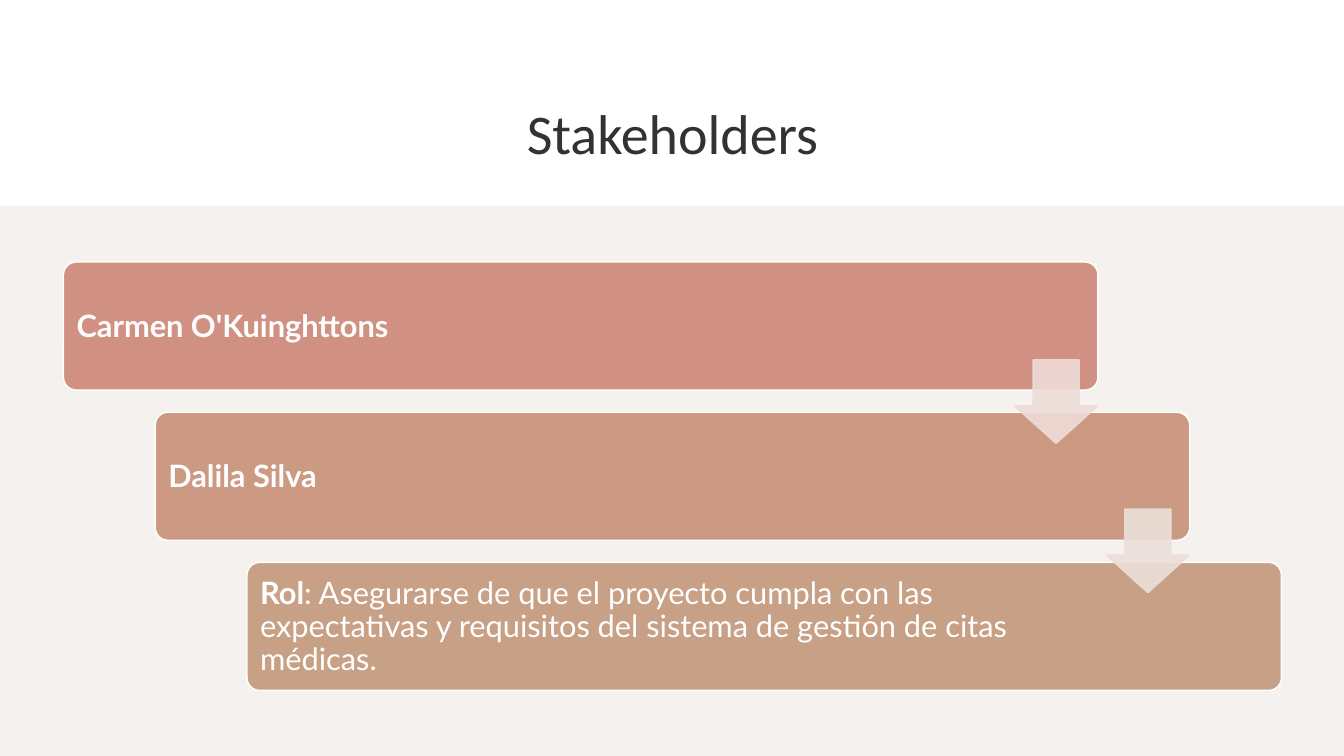
from dataclasses import dataclass

from pptx import Presentation
from pptx.dml.color import RGBColor
from pptx.enum.shapes import MSO_SHAPE
from pptx.enum.text import MSO_ANCHOR, PP_ALIGN
from pptx.oxml.ns import qn
from pptx.shapes.autoshape import Shape
from pptx.slide import Slide
from pptx.util import Inches, Pt
from lxml.etree import SubElement


@dataclass(frozen=True)
class Theme:
    title_font: str = "Calibri"
    body_font: str = "Lato"
    title_size: int = 40
    body_size: int = 22
    title_color: str = "323232"
    panel: str = "F4F1EF"
    white: str = "FFFFFF"


@dataclass(frozen=True)
class Step:
    bold: str
    plain: str
    fill: str
    text_width: float


@dataclass(frozen=True)
class Arrow:
    color: str
    top: float


THEME = Theme()
STEPS = [
    Step("Carmen O'Kuinghttons", "", "D09182", 8.89),
    Step("Dalila Silva", "", "CC9983", 8.46),
    Step("Rol", ": Asegurarse de que el proyecto cumpla con las expectativas y "
         "requisitos del sistema de gestión de citas médicas.", "C7A085", 8.46),
]
ARROWS = [Arrow("EEDCD8", 3.57), Arrow("EBDFD9", 5.05)]

# Staircase geometry, in inches
STEP_LEFT, STEP_TOP = 0.63, 2.6
STEP_WIDTH, STEP_HEIGHT = 10.26, 1.27
SHIFT_X, SHIFT_Y = 0.91, 1.49
TEXT_OFFSET, TEXT_HEIGHT = 0.04, 1.21
ARROW_LEFT, ARROW_SIZE = 10.06, 0.83


def color(value: str) -> RGBColor:
    return RGBColor.from_string(value)


def add_block(page: Slide, kind: MSO_SHAPE, left: float, top: float, width: float,
              height: float, fill: str, line: str = "") -> Shape:
    block = page.shapes.add_shape(kind, Inches(left), Inches(top),
                                  Inches(width), Inches(height))
    block.shadow.inherit = False
    block.fill.solid()
    block.fill.fore_color.rgb = color(fill)
    if line:
        block.line.color.rgb = color(line)
        block.line.width = Pt(1)
    else:
        block.line.fill.background()
    return block


def add_title(page: Slide, text: str) -> None:
    title = page.shapes.title
    title.left, title.top = Inches(1.56), Inches(0.77)
    title.width, title.height = Inches(10.22), Inches(1.09)
    title.text_frame.text = text
    title.text_frame.vertical_anchor = MSO_ANCHOR.MIDDLE
    para = title.text_frame.paragraphs[0]
    para.alignment = PP_ALIGN.CENTER
    para.font.name = THEME.title_font
    para.font.size = Pt(THEME.title_size)
    para.font.color.rgb = color(THEME.title_color)


def add_step(page: Slide, step: Step, index: int) -> None:
    left, top = STEP_LEFT + index * SHIFT_X, STEP_TOP + index * SHIFT_Y
    bar = add_block(page, MSO_SHAPE.ROUNDED_RECTANGLE, left, top, STEP_WIDTH,
                    STEP_HEIGHT, step.fill, THEME.white)
    bar.adjustments[0] = 0.1

    box = page.shapes.add_textbox(Inches(left + TEXT_OFFSET), Inches(top + TEXT_OFFSET),
                                  Inches(step.text_width), Inches(TEXT_HEIGHT))
    frame = box.text_frame
    frame.word_wrap = True
    frame.vertical_anchor = MSO_ANCHOR.MIDDLE
    frame.margin_left = frame.margin_right = Inches(0.09)
    frame.margin_top = frame.margin_bottom = Inches(0.09)
    para = frame.paragraphs[0]
    para.line_spacing = 0.9
    para.font.name = THEME.body_font
    para.font.size = Pt(THEME.body_size)
    para.font.color.rgb = color(THEME.white)
    for text, bold in ((step.bold, True), (step.plain, False)):
        if text:
            span = para.add_run()
            span.text = text
            span.font.bold = bold


def add_arrow(page: Slide, arrow: Arrow, index: int) -> None:
    shape = add_block(page, MSO_SHAPE.DOWN_ARROW, ARROW_LEFT + index * SHIFT_X, arrow.top,
                      ARROW_SIZE, ARROW_SIZE, arrow.color, arrow.color)
    shape.adjustments[0], shape.adjustments[1] = 0.55, 0.45
    # Fill and outline are 90% opaque
    for tint in shape.element.spPr.iter(qn("a:srgbClr")):
        SubElement(tint, qn("a:alpha"), val="90000")


def main() -> None:
    deck = Presentation()
    deck.slide_width, deck.slide_height = Inches(13.33), Inches(7.5)
    page = deck.slides.add_slide(deck.slide_layouts[5])
    page.background.fill.solid()
    page.background.fill.fore_color.rgb = color(THEME.white)

    # Heading and lower panel
    add_title(page, "Stakeholders")
    add_block(page, MSO_SHAPE.RECTANGLE, 0, 2.04, 13.33, 5.46, THEME.panel)

    # Staircase, with arrows on top
    for index, step in enumerate(STEPS):
        add_step(page, step, index)
    for index, arrow in enumerate(ARROWS):
        add_arrow(page, arrow, index)

    deck.save("out.pptx")


if __name__ == "__main__":
    main()
